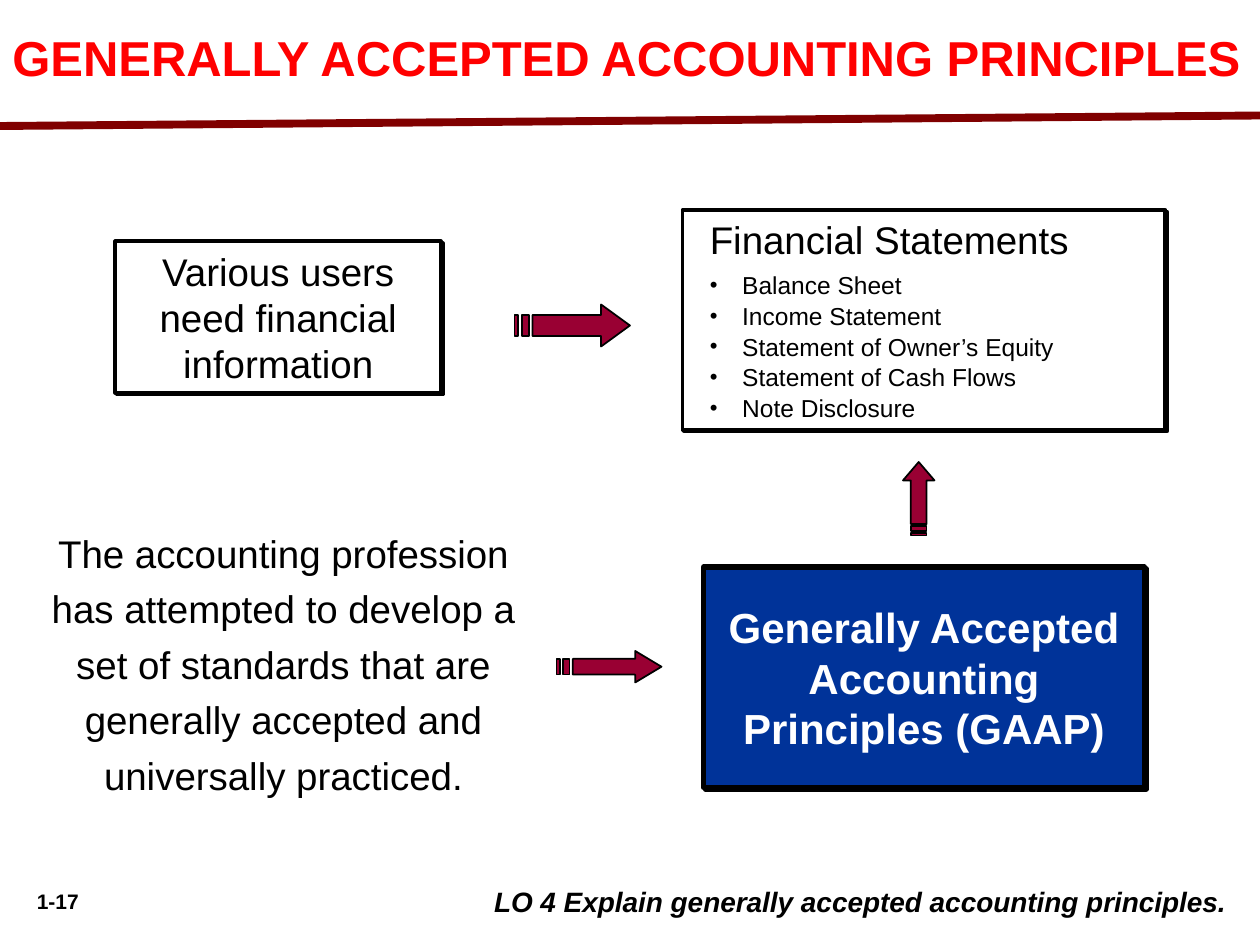
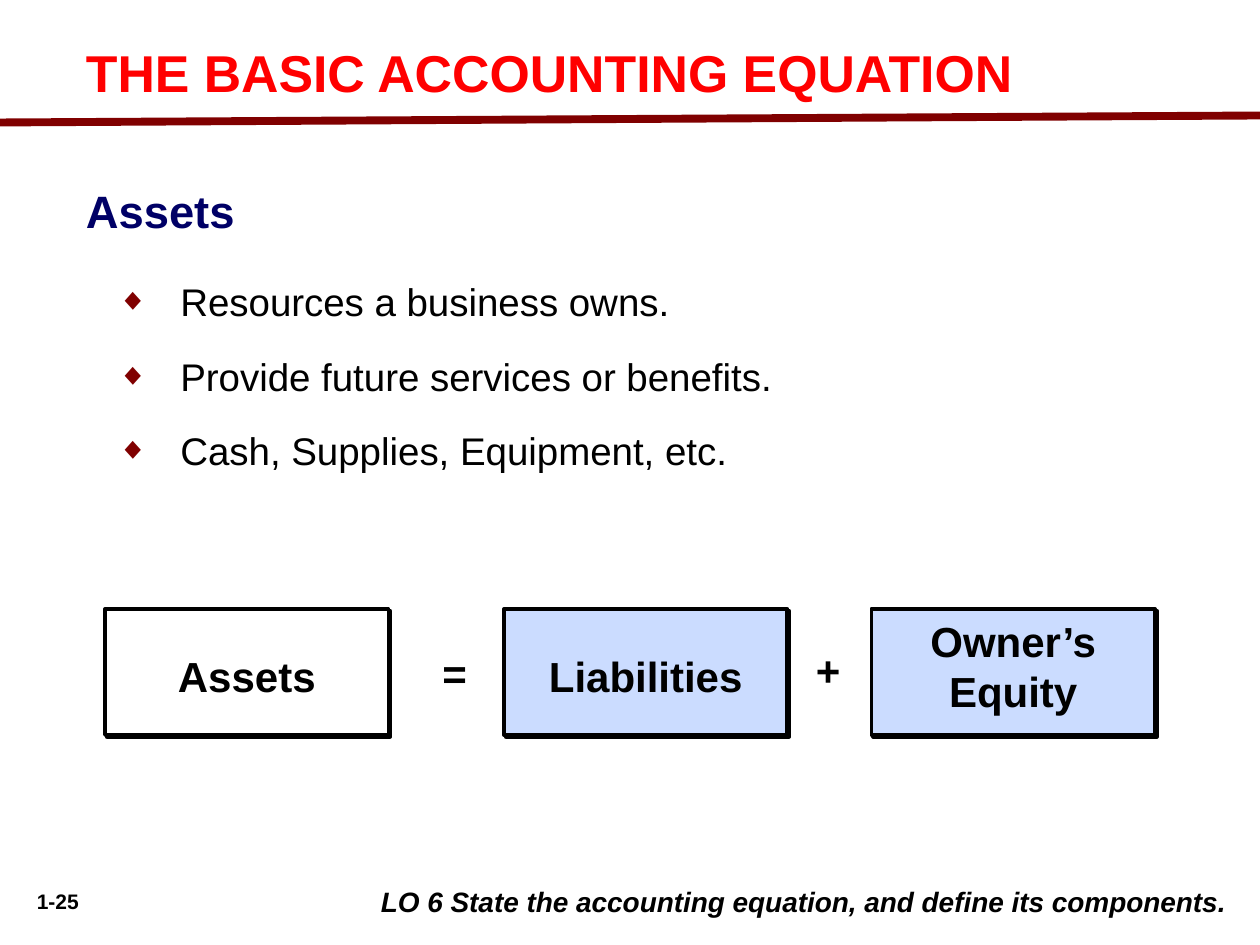
import lxml.etree
import pptx
import pptx.dml.color
import pptx.enum.shapes
import pptx.enum.text
import pptx.oxml.ns
import pptx.util

Pt = pptx.util.Pt
ALIGN = pptx.enum.text.PP_ALIGN
ANCHOR = pptx.enum.text.MSO_ANCHOR
FONT = "Arial"
COLOURS = {
    "black": "000000",
    "white": "FFFFFF",
    "title": "FF0000",
    "rule": "800000",
    "arrow": "990033",
    "gaap": "003399",
    "heading": "000066",
    "claims": "CBDCFF",
}


def colour(name):
    return pptx.dml.color.RGBColor.from_string(COLOURS[name])


def add_element(parent, tag, **attributes):
    element = lxml.etree.SubElement(parent, pptx.oxml.ns.qn(tag))
    for name, value in attributes.items():
        element.set(name, str(value))
    return element


# Text

def add_bullet(paragraph, character, bullet_colour, percent):
    properties = paragraph._p.get_or_add_pPr()
    add_element(add_element(properties, "a:buClr"), "a:srgbClr", val=COLOURS[bullet_colour])
    add_element(properties, "a:buSzPct", val=percent * 1000)
    add_element(properties, "a:buFont", typeface=FONT)
    add_element(properties, "a:buChar", char=character)


def set_indent(paragraph, left, first):
    properties = paragraph._p.get_or_add_pPr()
    properties.set("marL", str(Pt(left)))
    properties.set("indent", str(Pt(first)))


def style_paragraph(paragraph, size, font_colour="black", bold=False, italic=False,
                    align=ALIGN.LEFT, line_spacing=1.0, before=0, after=0):
    paragraph.alignment = align
    paragraph.line_spacing = line_spacing
    paragraph.space_before = Pt(before)
    paragraph.space_after = Pt(after)
    font = paragraph.font
    font.name, font.size, font.bold, font.italic = FONT, Pt(size), bold, italic
    font.color.rgb = colour(font_colour)


def prepare_frame(shape, anchor=ANCHOR.TOP, side_margin=7.2):
    frame = shape.text_frame
    frame.word_wrap = True
    frame.vertical_anchor = anchor
    frame.margin_left = frame.margin_right = Pt(side_margin)
    frame.margin_top = frame.margin_bottom = Pt(3.6)
    return frame


def add_text(slide, place, text, size, **style):
    frame = prepare_frame(slide.shapes.add_textbox(*map(Pt, place)))
    paragraph = frame.paragraphs[0]
    paragraph.text = text
    style_paragraph(paragraph, size, **style)
    return frame


# Shapes

def add_shadowed_box(slide, place, fill="white", line_width=2.25):
    box = slide.shapes.add_shape(pptx.enum.shapes.MSO_SHAPE.RECTANGLE, *map(Pt, place))
    box.fill.solid()
    box.fill.fore_color.rgb = colour(fill)
    box.line.color.rgb = colour("black")
    box.line.width = Pt(line_width)
    box.shadow.inherit = False
    effects = box._element.spPr.find(pptx.oxml.ns.qn("a:effectLst"))
    shadow = add_element(effects, "a:outerShdw", dist=Pt(1.4), dir=45 * 60000,
                         algn="ctr", rotWithShape=0)
    add_element(shadow, "a:srgbClr", val=COLOURS["black"])
    return box


def add_label_box(slide, place, text, size, fill="white", line_width=2.25,
                  anchor=ANCHOR.TOP, side_margin=7.2, **style):
    box = add_shadowed_box(slide, place, fill, line_width)
    paragraph = prepare_frame(box, anchor, side_margin).paragraphs[0]
    paragraph.text = text
    style_paragraph(paragraph, size, align=ALIGN.CENTER, **style)


def add_striped_arrow(slide, left, top, width, height, rotation=0):
    def bar(start, end):
        return [(start, 1 / 4), (start, 3 / 4), (end, 3 / 4), (end, 1 / 4)]

    head = [(3 / 4, 0), (3 / 4, 1 / 4), (5 / 32, 1 / 4), (5 / 32, 3 / 4),
            (3 / 4, 3 / 4), (3 / 4, 1), (1, 1 / 2)]
    outlines = [[(Pt(left + x * width), Pt(top + y * height)) for x, y in outline]
                for outline in (head, bar(1 / 16, 1 / 8), bar(0, 1 / 32))]
    builder = slide.shapes.build_freeform(*outlines[0][0])
    for number, outline in enumerate(outlines):
        if number:
            builder.move_to(*outline[0])
        builder.add_line_segments(outline[1:], close=True)
    arrow = builder.convert_to_shape()
    arrow.rotation = rotation
    arrow.fill.solid()
    arrow.fill.fore_color.rgb = colour("arrow")
    arrow.line.color.rgb = colour("black")
    arrow.line.width = Pt(1)
    arrow.shadow.inherit = False


# Shared frame: title, sloping rule, page number, learning objective

def add_framed_slide(presentation, title, title_place, title_size, title_spacing,
                     rule_start, page, objective):
    slide = presentation.slides.add_slide(presentation.slide_layouts[6])
    add_text(slide, title_place, title, title_size, font_colour="title", bold=True,
             line_spacing=title_spacing)
    rule = slide.shapes.add_connector(pptx.enum.shapes.MSO_CONNECTOR.STRAIGHT,
                                      Pt(0), Pt(rule_start), Pt(720), Pt(66))
    rule.line.color.rgb = colour("rule")
    rule.line.width = Pt(4.5)
    add_element(rule._element.spPr, "a:effectLst")
    add_text(slide, (6, 504, 54, 21.6), page, 12, bold=True, align=ALIGN.CENTER)
    add_text(slide, (84, 502, 624, 26.5), objective, 16, bold=True, italic=True,
             align=ALIGN.RIGHT)
    return slide


def add_statements_box(slide):
    statements = ["Balance Sheet", "Income Statement", "Statement of Owner’s Equity",
                  "Statement of Cash Flows", "Note Disclosure"]
    frame = prepare_frame(add_shadowed_box(slide, (390, 120, 276, 125.5)))
    heading = frame.paragraphs[0]
    heading.text = "Financial Statements"
    set_indent(heading, 27, -18.5)
    style_paragraph(heading, 22)
    for number, statement in enumerate(statements):
        paragraph = frame.add_paragraph()
        paragraph.text = statement
        set_indent(paragraph, 27, -18.5)
        add_bullet(paragraph, "•", "black", 90)
        style_paragraph(paragraph, 14, line_spacing=1.05, before=0 if number else 3.5)


def build_principles_slide(presentation):
    slide = add_framed_slide(
        presentation, "GENERALLY ACCEPTED ACCOUNTING PRINCIPLES", (0, 12, 720, 56), 28, 1.0,
        72, "1-17", "LO 4 Explain generally accepted accounting principles.")
    add_label_box(slide, (66, 138, 186, 86.5), "Various users need financial information", 22)
    add_statements_box(slide)
    add_text(slide, (18, 294, 288, 165.5),
             "The accounting profession has attempted to develop a set of standards "
             "that are generally accepted and universally practiced.",
             22, align=ALIGN.CENTER, line_spacing=1.2)
    add_label_box(slide, (402, 324, 252, 126),
                  "Generally Accepted Accounting Principles (GAAP)", 24, fill="gaap",
                  line_width=3, anchor=ANCHOR.MIDDLE, font_colour="white", bold=True)
    add_striped_arrow(slide, 294, 174, 66, 24)
    add_striped_arrow(slide, 318, 372, 60, 18)
    add_striped_arrow(slide, 504, 276, 42, 18, rotation=270)


def build_equation_slide(presentation):
    slide = add_framed_slide(
        presentation, "THE BASIC ACCOUNTING EQUATION", (42, 24, 636, 44), 29.6, 0.9,
        70, "1-25", "LO 6 State the accounting equation, and define its components.")
    add_text(slide, (42, 104.5, 612, 39.5), "Assets", 25.9, font_colour="heading",
             bold=True, line_spacing=0.9)

    # Features of assets
    features = ["Resources a business owns.", "Provide future services or benefits.",
                "Cash, Supplies, Equipment, etc."]
    frame = prepare_frame(slide.shapes.add_textbox(Pt(42), Pt(150), Pt(648), Pt(124.5)))
    for number, feature in enumerate(features):
        paragraph = frame.add_paragraph() if number else frame.paragraphs[0]
        paragraph.text = feature
        set_indent(paragraph, 54, -36)
        add_bullet(paragraph, "◆", "rule", 80)
        style_paragraph(paragraph, 22, line_spacing=1.2, before=8.2 if number else 0, after=2.8)

    # Equation
    for left, term, fill, spacing in [(60, "Assets", "white", 1.7),
                                      (288, "Liabilities", "claims", 1.7),
                                      (498, "Owner’s Equity", "claims", 1.0)]:
        add_label_box(slide, (left, 348, 162, 72), term, 24, fill=fill, side_margin=14.4,
                      bold=True, line_spacing=spacing)
    for left, top, sign in [(242.5, 366.5, "="), (456, 365, "+")]:
        add_text(slide, (left, top, 34.5, 36), sign, 24, bold=True, align=ALIGN.CENTER)


def main():
    presentation = pptx.Presentation()
    presentation.slide_width, presentation.slide_height = Pt(720), Pt(540)
    build_principles_slide(presentation)
    build_equation_slide(presentation)
    presentation.save("out.pptx")


if __name__ == "__main__":
    main()
